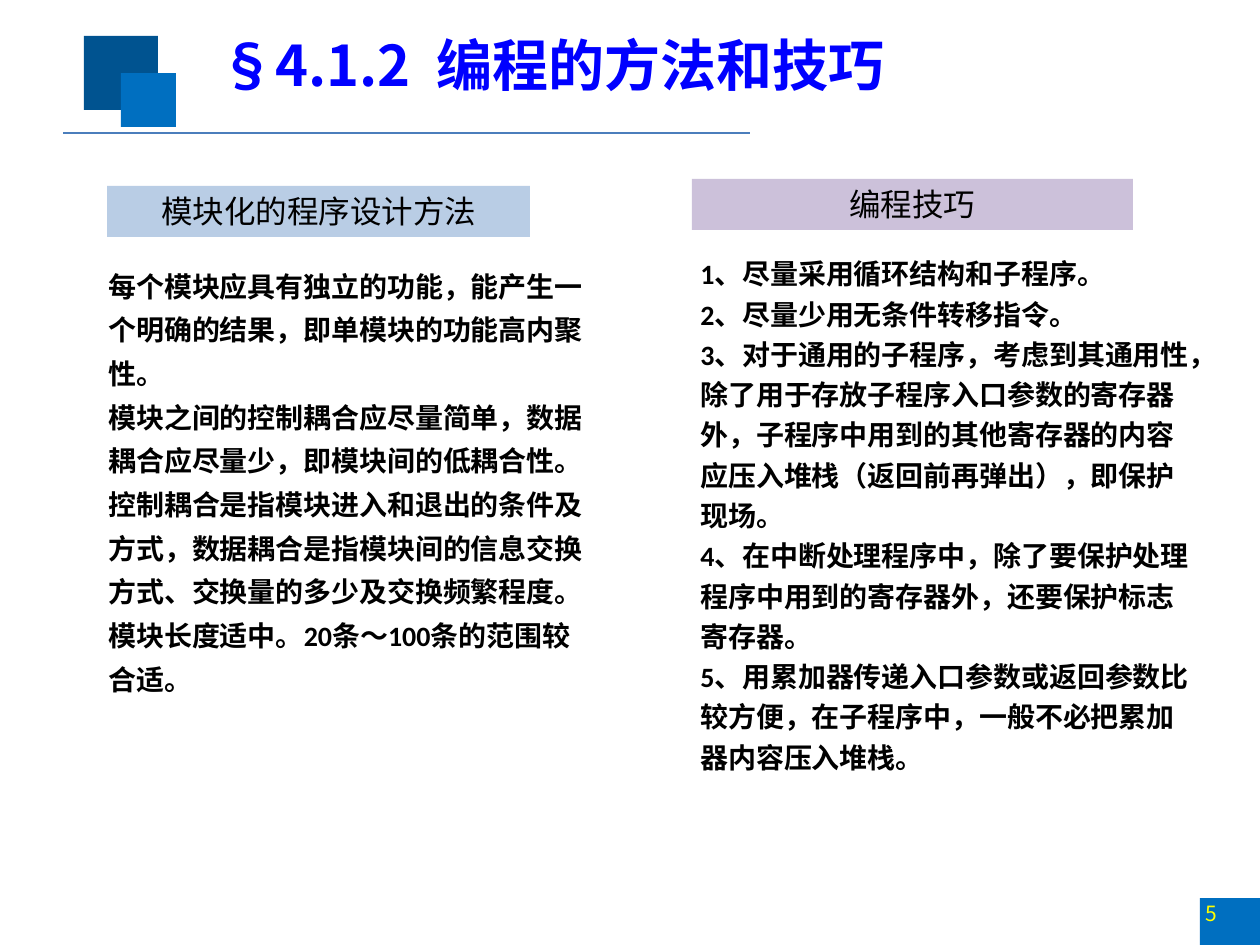
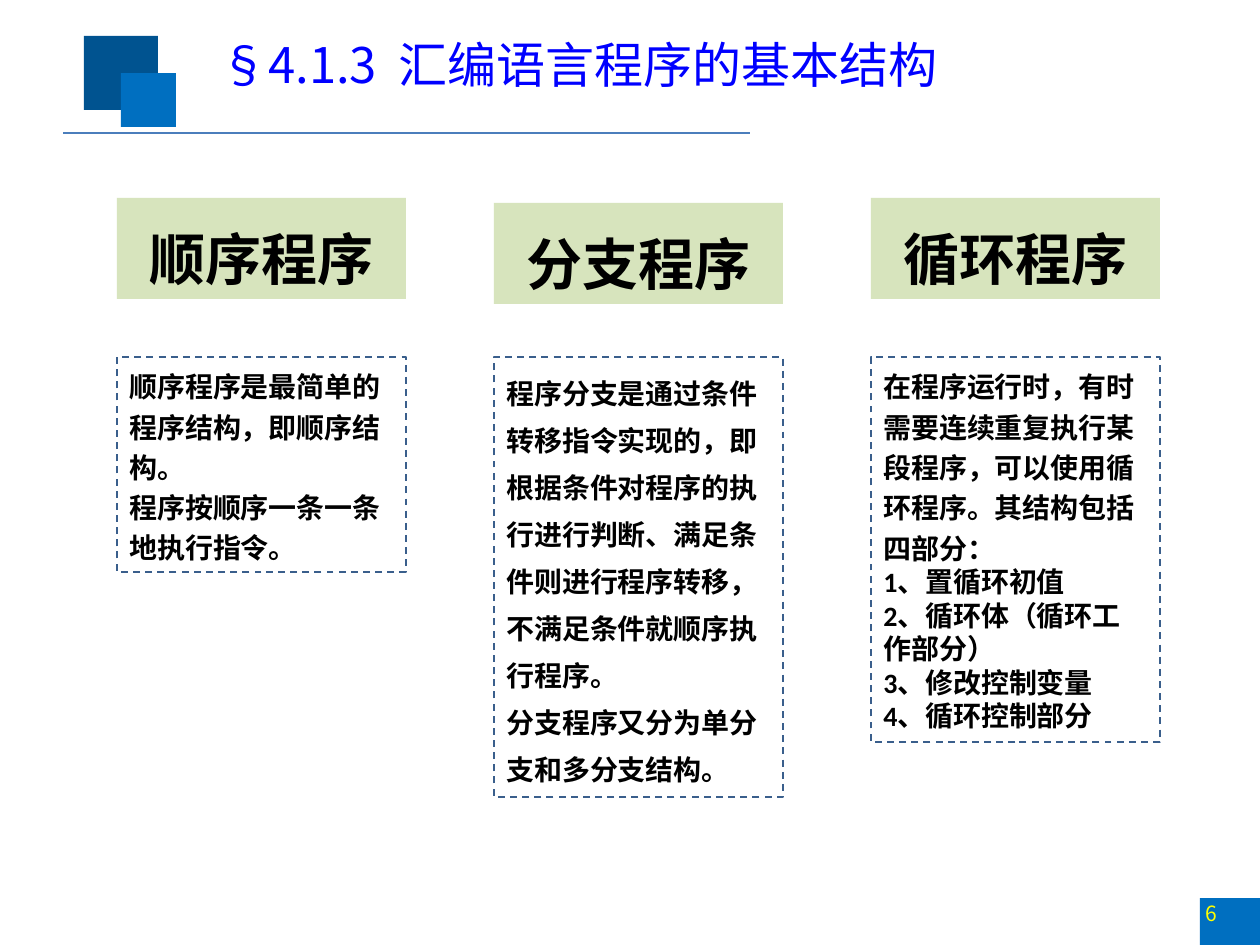
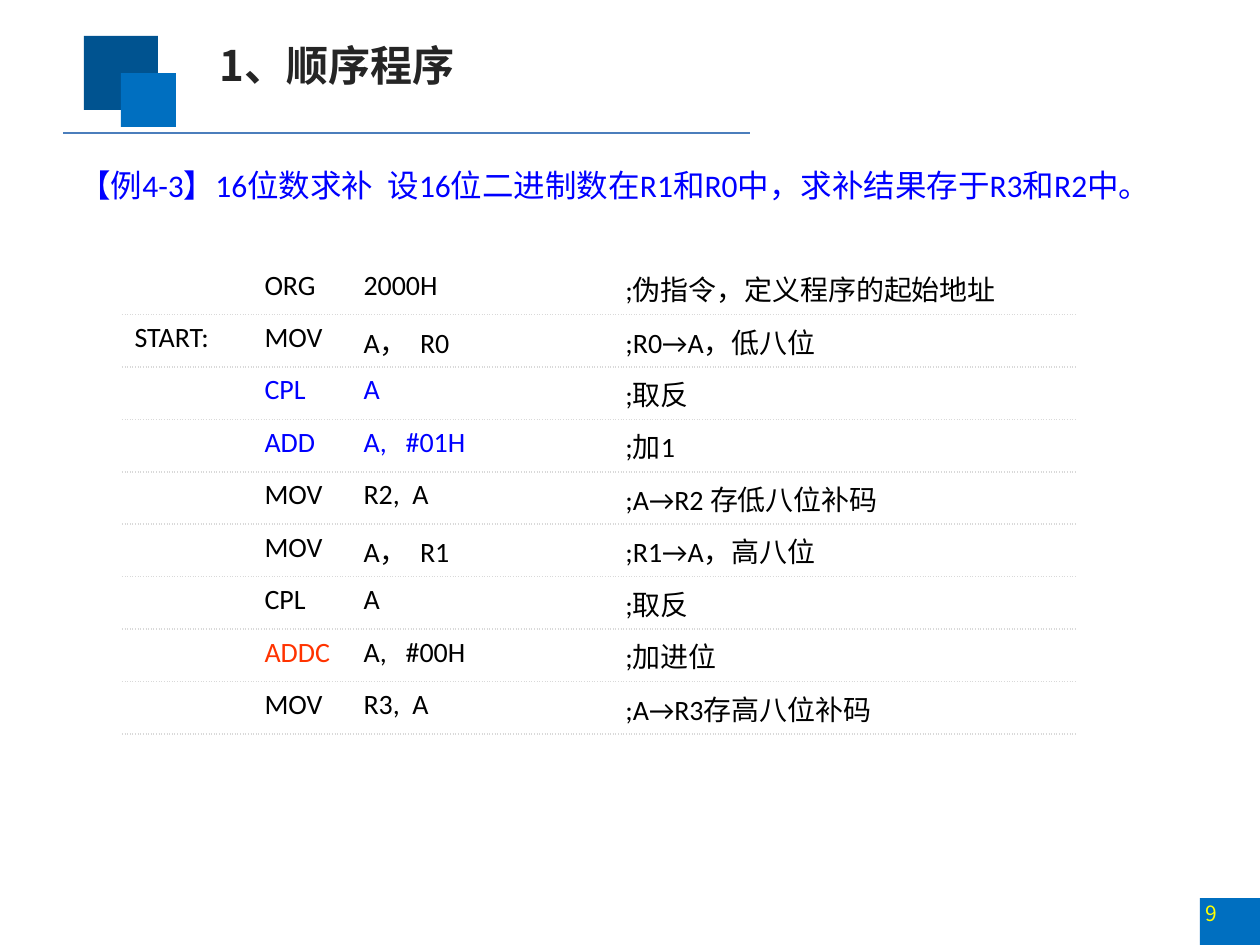
from dataclasses import dataclass, replace

from lxml import etree
from pptx import Presentation
from pptx import util as u
from pptx.dml.color import RGBColor
from pptx.enum import dml, shapes, text
from pptx.oxml import ns

EMU_PER_PX = 914400 / 126
CJK = "Noto Sans CJK SC"
COLORS = {
    "navy": "005390",
    "blue": "006FC0",
    "rule": "4B7EBC",
    "title": "0000FF",
    "ink": "000000",
    "charcoal": "252525",
    "number": "FFFF00",
    "method": "B9CDE5",
    "skill": "CCC1DA",
    "label": "D7E4BD",
    "outline": "3A5F8C",
    "grid": "D9D9D9",
    "carry": "FF3300",
}


@dataclass(frozen=True)
class Frame:
    left: int
    top: int
    width: int
    height: int

    def emu(self) -> tuple:
        return tuple(map(px, (self.left, self.top, self.width, self.height)))


@dataclass(frozen=True)
class Style:
    size: int
    color: str = "ink"
    bold: bool = False
    font: str = "Calibri"
    centred: bool = False


@dataclass(frozen=True)
class Line:
    words: str
    spacing: float = 1.0


@dataclass(frozen=True)
class Program:
    name: str
    label_top: int
    height: int
    lines: list


@dataclass(frozen=True)
class Code:
    label: str
    opcode: str
    operand: str
    note: str
    opcode_color: str = "ink"
    operand_color: str = "ink"


BAND = Style(18, centred=True)
BODY = Style(16, bold=True)
LABEL = Style(32, bold=True, centred=True)
TITLE = Style(32, "title", True, CJK)
NUMBER = Style(12, "number", font=CJK)
EXAMPLE = Style(18, "title")
CODE = Style(16)

METHODS = [
    "每个模块应具有独立的功能，能产生一个明确的结果，即单模块的功能高内聚性。",
    "模块之间的控制耦合应尽量简单，数据耦合应尽量少，即模块间的低耦合性。"
    "控制耦合是指模块进入和退出的条件及方式，数据耦合是指模块间的信息交换方式、交换量的多少及交换频繁程度。",
    "模块长度适中。20条～100条的范围较合适。",
]
SKILLS = [
    "1、尽量采用循环结构和子程序。",
    "2、尽量少用无条件转移指令。",
    "3、对于通用的子程序，考虑到其通用性，除了用于存放子程序入口参数的寄存器外，"
    "子程序中用到的其他寄存器的内容应压入堆栈（返回前再弹出），即保护现场。",
    "4、在中断处理程序中，除了要保护处理程序中用到的寄存器外，还要保护标志寄存器。",
    "5、用累加器传递入口参数或返回参数比较方便，在子程序中，一般不必把累加器内容压入堆栈。",
]
PROGRAMS = [
    Program("顺序程序", 198, 215, [
        Line("顺序程序是最简单的程序结构，即顺序结构。", 1.2),
        Line("程序按顺序一条一条地执行指令。", 1.2),
    ]),
    Program("分支程序", 203, 440, [
        Line("程序分支是通过条件转移指令实现的，即根据条件对程序的执行进行判断、"
             "满足条件则进行程序转移，不满足条件就顺序执行程序。", 1.4),
        Line("分支程序又分为单分支和多分支结构。", 1.4),
    ]),
    Program("循环程序", 198, 385, [
        Line("在程序运行时，有时需要连续重复执行某段程序，可以使用循环程序。其结构包括四部分：", 1.2),
        Line("1、置循环初值"),
        Line("2、循环体（循环工作部分）"),
        Line("3、修改控制变量"),
        Line("4、循环控制部分"),
    ]),
]
LISTING = [
    Code("", "ORG", "2000H", ";伪指令，定义程序的起始地址"),
    Code("START:", "MOV", "A，  R0", ";R0→A，低八位"),
    Code("", "CPL", "A", ";取反", "title", "title"),
    Code("", "ADD", "A,   #01H", ";加1", "title", "title"),
    Code("", "MOV", "R2,  A", ";A→R2 存低八位补码"),
    Code("", "MOV", "A，  R1", ";R1→A，高八位"),
    Code("", "CPL", "A", ";取反"),
    Code("", "ADDC", "A,   #00H", ";加进位", "carry"),
    Code("", "MOV", "R3,  A", ";A→R3存高八位补码"),
]
CODE_WIDTHS = (130, 99, 262, 463)


def px(length: int) -> int:
    return round(length * EMU_PER_PX)


def rgb(name: str) -> RGBColor:
    return RGBColor.from_string(COLORS[name])


def add_span(para, words: str, style: Style) -> None:
    span = para.add_run()
    span.text = words
    span.font.size = u.Pt(style.size)
    span.font.bold = style.bold
    span.font.color.rgb = rgb(style.color)
    span.font.name = style.font
    east_asian = etree.SubElement(span._r.get_or_add_rPr(), ns.qn("a:ea"))
    east_asian.set("typeface", CJK)


def write(box, lines: list, style: Style) -> None:
    frame = box.text_frame
    frame.word_wrap = True
    frame.auto_size = text.MSO_AUTO_SIZE.SHAPE_TO_FIT_TEXT
    frame.vertical_anchor = text.MSO_ANCHOR.TOP
    for index, line in enumerate(lines):
        para = frame.add_paragraph() if index else frame.paragraphs[0]
        para.alignment = text.PP_ALIGN.CENTER if style.centred else text.PP_ALIGN.LEFT
        para.line_spacing = line.spacing
        add_span(para, line.words, style)


def add_text(page, frame: Frame, lines: list, style: Style):
    box = page.shapes.add_textbox(*frame.emu())
    write(box, lines, style)
    return box


def add_block(page, frame: Frame, fill: str = ""):
    block = page.shapes.add_shape(shapes.MSO_SHAPE.RECTANGLE, *frame.emu())
    block.shadow.inherit = False
    if fill:
        block.fill.solid()
        block.fill.fore_color.rgb = rgb(fill)
        block.line.fill.background()
    else:
        block.fill.background()
        block.line.color.rgb = rgb("outline")
        block.line.width = u.Pt(1)
        block.line.dash_style = dml.MSO_LINE.DASH
    return block


def add_page(deck, title: str, frame: Frame, style: Style, number: int):
    page = deck.slides.add_slide(deck.slide_layouts[6])
    add_block(page, Frame(1200, 898, 60, 47), "blue")
    add_block(page, Frame(84, 36, 74, 74), "navy")
    add_block(page, Frame(121, 73, 55, 54), "blue")
    rule = page.shapes.add_connector(
        shapes.MSO_CONNECTOR.STRAIGHT, px(63), px(133), px(750), px(133))
    rule.line.color.rgb = rgb("rule")
    rule.line.width = u.Pt(1.5)
    etree.SubElement(rule._element.spPr, ns.qn("a:effectLst"))
    heading = add_text(page, frame, [Line(title)], style)
    heading.text_frame.vertical_anchor = text.MSO_ANCHOR.MIDDLE
    footer = add_text(page, Frame(1201, 901, 59, 40), [Line(str(number))], NUMBER)
    inner = footer.text_frame
    inner.auto_size = text.MSO_AUTO_SIZE.NONE
    inner.margin_left = px(4)
    inner.margin_top = inner.margin_right = inner.margin_bottom = 0
    return page


def set_borders(cell, dotted: set) -> None:
    cell.fill.background()
    properties = cell._tc.get_or_add_tcPr()
    for index, edge in enumerate(("lnL", "lnR", "lnT", "lnB")):
        border = etree.Element(ns.qn(f"a:{edge}"), w=str(u.Pt(1)))
        if edge in dotted:
            fill = etree.SubElement(border, ns.qn("a:solidFill"))
            etree.SubElement(fill, ns.qn("a:srgbClr"), val=COLORS["grid"])
            etree.SubElement(border, ns.qn("a:prstDash"), val="sysDot")
        else:
            etree.SubElement(border, ns.qn("a:noFill"))
        properties.insert(index, border)


def add_listing(page, frame: Frame) -> None:
    table = page.shapes.add_table(len(LISTING), len(CODE_WIDTHS), *frame.emu()).table
    table.first_row = table.horz_banding = False
    for column, width in zip(table.columns, CODE_WIDTHS):
        column.width = px(width)
    for row, code in enumerate(LISTING):
        fields = (
            (code.label, "ink"),
            (code.opcode, code.opcode_color),
            (code.operand, code.operand_color),
            (code.note, "ink"),
        )
        for column, (words, color) in enumerate(fields):
            cell = table.cell(row, column)
            set_borders(cell, {"lnT", "lnB"} if row else {"lnB"})
            if words:
                add_span(cell.text_frame.paragraphs[0], words, replace(CODE, color=color))


def build_methods(deck) -> None:
    page = add_page(deck, "§4.1.2  编程的方法和技巧", Frame(207, 24, 955, 81), TITLE, 5)
    write(add_block(page, Frame(107, 186, 423, 51), "method"),
          [Line("模块化的程序设计方法")], BAND)
    add_text(page, Frame(96, 253, 503, 498), [Line(words, 1.3) for words in METHODS], BODY)
    write(add_block(page, Frame(692, 179, 441, 51), "skill"), [Line("编程技巧")], BAND)
    add_text(page, Frame(688, 244, 523, 541), [Line(words, 1.2) for words in SKILLS], BODY)


def build_structures(deck) -> None:
    style = replace(TITLE, size=28, bold=False)
    page = add_page(deck, "§4.1.3  汇编语言程序的基本结构", Frame(207, 28, 939, 72), style, 6)
    for index, program in enumerate(PROGRAMS):
        left = 117 + 377 * index
        label = add_block(page, Frame(left, program.label_top, 289, 101), "label")
        write(label, [Line(program.name, 1.3)], LABEL)
        write(add_block(page, Frame(left, 357, 289, program.height)), program.lines, BODY)


def build_sequence(deck) -> None:
    style = replace(TITLE, size=24, color="charcoal")
    page = add_page(deck, "1、顺序程序", Frame(207, 33, 411, 63), style, 9)
    example = "【例4-3】16位数求补  设16位二进制数在R1和R0中，求补结果存于R3和R2中。"
    add_text(page, Frame(67, 160, 1115, 51), [Line(example)], EXAMPLE)
    add_listing(page, Frame(122, 262, 954, 472))


def main() -> None:
    deck = Presentation()
    deck.slide_width, deck.slide_height = px(1260), px(945)
    build_methods(deck)
    build_structures(deck)
    build_sequence(deck)
    deck.save("out.pptx")


if __name__ == "__main__":
    main()
